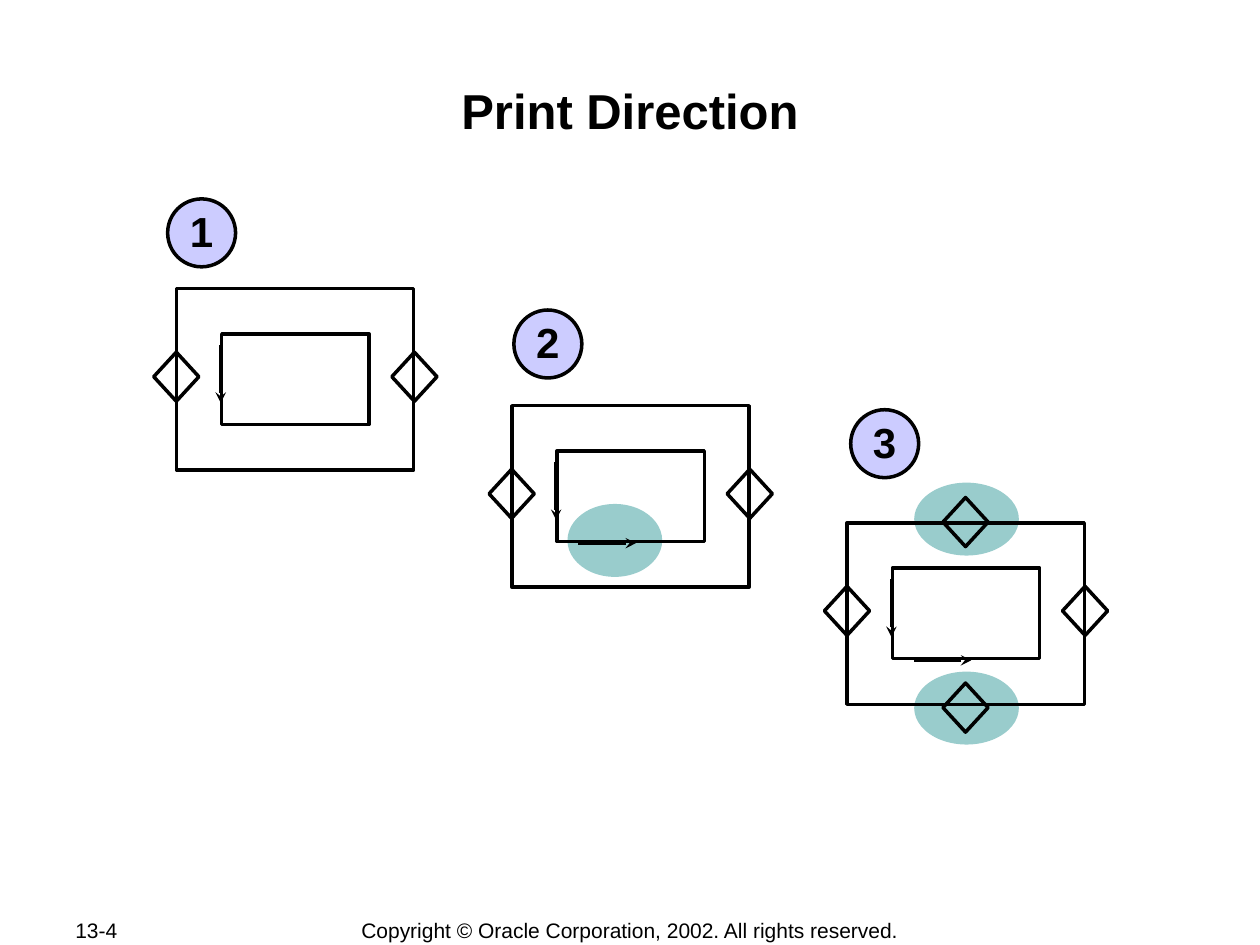
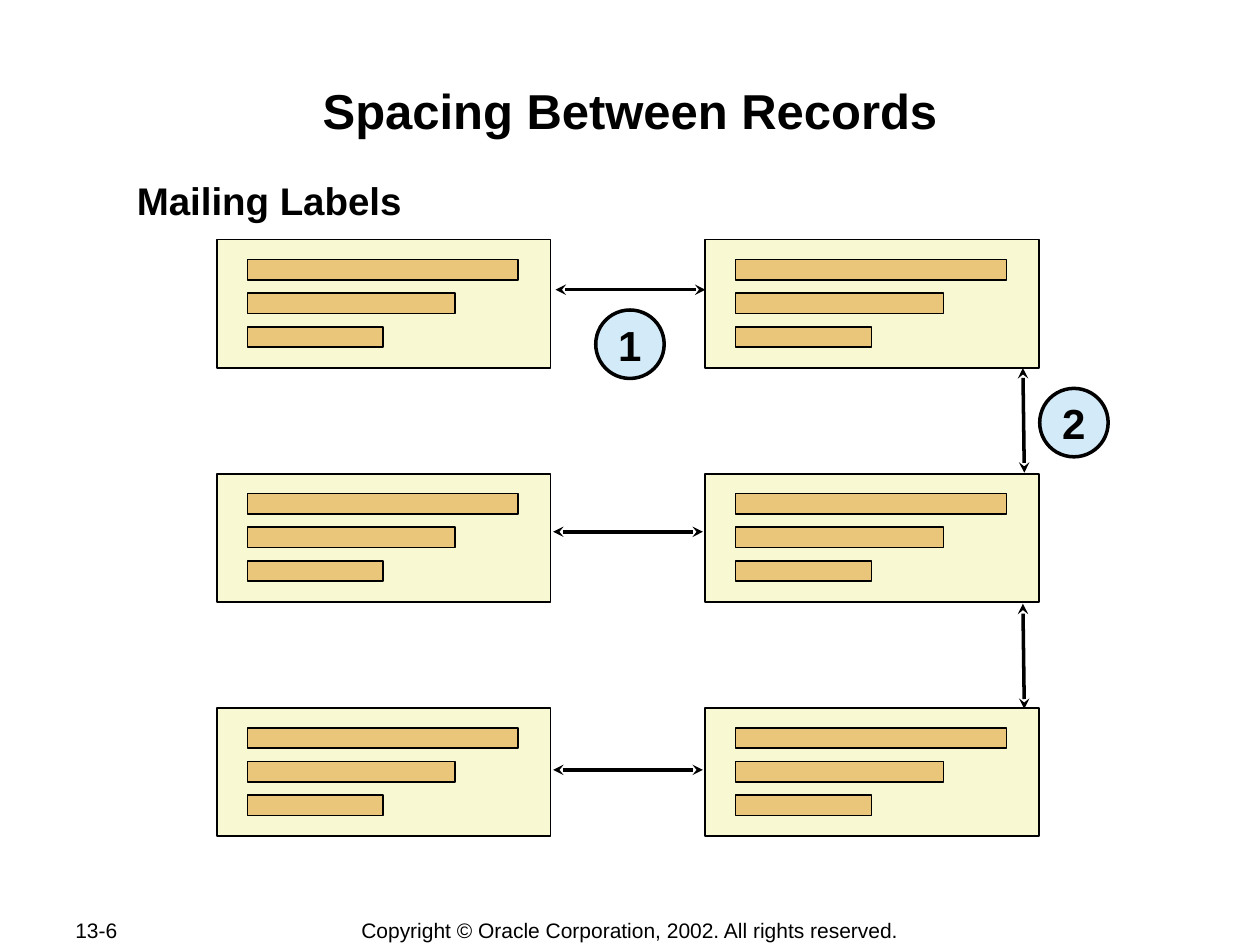
import pptx
import pptx.dml.color
import pptx.enum.shapes
import pptx.enum.text
import pptx.oxml
import pptx.oxml.ns
import pptx.util

Cm = pptx.util.Cm
Pt = pptx.util.Pt
SHAPE = pptx.enum.shapes.MSO_SHAPE
ALIGN = pptx.enum.text.PP_ALIGN
ANCHOR = pptx.enum.text.MSO_ANCHOR


class Theme:
    font = "Arial"
    ink = "000000"
    highlight = "99CCCC"
    step_badge = "CCCCFF"
    gap_badge = "D3EAF8"
    label = "F8F8D3"
    bar = "EAC67B"
    title_size = 28
    badge_size = 24
    subtitle_size = 22
    footer_size = 12
    thick = 2
    thin = 1


def add_box(s, box, text="", kind=None, fill=None, line=None, size=12, bold=False,
            align=ALIGN.CENTER, anchor=ANCHOR.MIDDLE, inset=(0, 0), spacing=None):
    """Add a preset shape, or a text box if kind is None; box and inset are in cm."""
    lengths = [Cm(v) for v in box]
    if kind is None:
        sp = s.shapes.add_textbox(*lengths)
    else:
        sp = s.shapes.add_shape(kind, *lengths)
        sp.shadow.inherit = False
        if fill:
            sp.fill.solid()
            sp.fill.fore_color.rgb = pptx.dml.color.RGBColor.from_string(fill)
        else:
            sp.fill.background()
        if line:
            sp.line.color.rgb = pptx.dml.color.RGBColor.from_string(Theme.ink)
            sp.line.width = Pt(line)
        else:
            sp.line.fill.background()
    if text:
        tf = sp.text_frame
        tf.word_wrap = True
        tf.vertical_anchor = anchor
        tf.margin_left = tf.margin_right = Cm(inset[0])
        tf.margin_top = tf.margin_bottom = Cm(inset[1])
        p = tf.paragraphs[0]
        p.alignment = align
        p.line_spacing = spacing
        r = p.add_run()
        r.text = text
        r.font.name = Theme.font
        r.font.size = Pt(size)
        r.font.bold = bold
        r.font.color.rgb = pptx.dml.color.RGBColor.from_string(Theme.ink)


def add_arrow(s, x1, y1, x2, y2, ends=("tailEnd",)):
    """Draw a line in cm with a stealth head at each of the named ends."""
    cxn = s.shapes.add_connector(pptx.enum.shapes.MSO_CONNECTOR.STRAIGHT,
                                 Cm(x1), Cm(y1), Cm(x2), Cm(y2))
    cxn.line.color.rgb = pptx.dml.color.RGBColor.from_string(Theme.ink)
    cxn.line.width = Pt(Theme.thick)
    ln = cxn.line._get_or_add_ln()
    for end in ends:
        head = pptx.oxml.parse_xml(
            f'<a:{end} {pptx.oxml.ns.nsdecls("a")} type="stealth"/>')
        ln.append(head)
    effects = pptx.oxml.parse_xml(f'<a:effectLst {pptx.oxml.ns.nsdecls("a")}/>')
    cxn._element.spPr.append(effects)


prs = pptx.Presentation()
prs.slide_width = Cm(25.4)
prs.slide_height = Cm(19.05)

# Title and footer on every slide
slides = []
for title, number in (("Print Direction", "13-4"), ("Spacing Between Records", "13-6")):
    s = prs.slides.add_slide(prs.slide_layouts[6])
    add_box(s, (2.54, 1.6, 20.32, 2.3), title, size=Theme.title_size, bold=True,
            anchor=ANCHOR.TOP, inset=(0.03, 0.03))
    add_box(s, (1.27, 18.49, 2.7, 0.51), number, size=Theme.footer_size,
            align=ALIGN.LEFT, inset=(0.25, 0))
    add_box(s, (6.35, 18.49, 12.7, 0.51),
            "Copyright © Oracle Corporation, 2002. All rights reserved.",
            size=Theme.footer_size)
    slides.append(s)
directions, spacing = slides

# Print direction: each step repeats the frame and adds to it
side_diamonds = [(-0.46, 1.28), (4.34, 1.28)]
end_diamonds = [(1.93, -0.51), (1.93, 3.23)]
steps = [
    # badge position, highlights within the frame, diamonds, arrow across
    ((3.38, 4.01), [], side_diamonds, False),
    ((10.36, 6.25), [(1.12, 1.98, 1.91, 1.47)], side_diamonds, True),
    ((17.15, 8.26), [(1.35, -0.81, 2.11, 1.47), (1.35, 3, 2.11, 1.47)],
     side_diamonds + end_diamonds, True),
]
for i, (badge, highlights, diamonds, across) in enumerate(steps):
    x, y = 3.56 + 6.76 * i, 5.82 + 2.36 * i
    for dx, dy, w, h in highlights:
        add_box(directions, (x + dx, y + dy, w, h), kind=SHAPE.OVAL, fill=Theme.highlight)
    add_box(directions, (x + 0.91, y + 0.91, 2.97, 1.83), kind=SHAPE.RECTANGLE,
            line=Theme.thick)
    add_box(directions, (x, y, 4.78, 3.66), kind=SHAPE.RECTANGLE, line=Theme.thick)
    for dx, dy in diamonds:
        add_box(directions, (x + dx, y + dy, 0.91, 0.99), kind=SHAPE.DIAMOND,
                line=Theme.thick)
    add_arrow(directions, x + 0.89, y + 1.13, x + 0.89, y + 2.3)
    if across:
        add_arrow(directions, x + 1.34, y + 2.77, x + 2.5, y + 2.77)
    add_box(directions, (*badge, 1.37, 1.37), str(i + 1), kind=SHAPE.OVAL,
            fill=Theme.step_badge, line=Theme.thick, size=Theme.badge_size,
            bold=True, spacing=0.95)

# Mailing labels: two columns of three, each with three address bars
add_box(spacing, (2.51, 3.43, 7, 1.19), "Mailing Labels", size=Theme.subtitle_size,
        bold=True, align=ALIGN.LEFT, anchor=ANCHOR.TOP, inset=(0.25, 0.13))
for x in (4.37, 14.21):
    for row in range(3):
        y = 4.83 + 4.72 * row
        add_box(spacing, (x, y, 6.73, 2.59), kind=SHAPE.RECTANGLE, fill=Theme.label,
                line=Theme.thin)
        for k, width in enumerate((5.46, 4.19, 2.74)):
            add_box(spacing, (x + 0.62, y + 0.4 + 0.68 * k, width, 0.41),
                    kind=SHAPE.RECTANGLE, fill=Theme.bar, line=Theme.thin)

gaps = [
    (11.2, 5.84, 14.22, 5.84),
    (11.15, 10.72, 14.17, 10.72),
    (11.15, 15.52, 14.17, 15.52),
    (20.62, 7.42, 20.65, 9.53),
    (20.62, 12.17, 20.65, 14.29),
]
for gap in gaps:
    add_arrow(spacing, *gap, ends=("headEnd", "tailEnd"))
for text, x, y in (("1", 12.01, 6.25), ("2", 20.96, 7.83)):
    add_box(spacing, (x, y, 1.38, 1.38), text, kind=SHAPE.OVAL, fill=Theme.gap_badge,
            line=Theme.thick, size=Theme.badge_size, bold=True)

prs.save("out.pptx")
